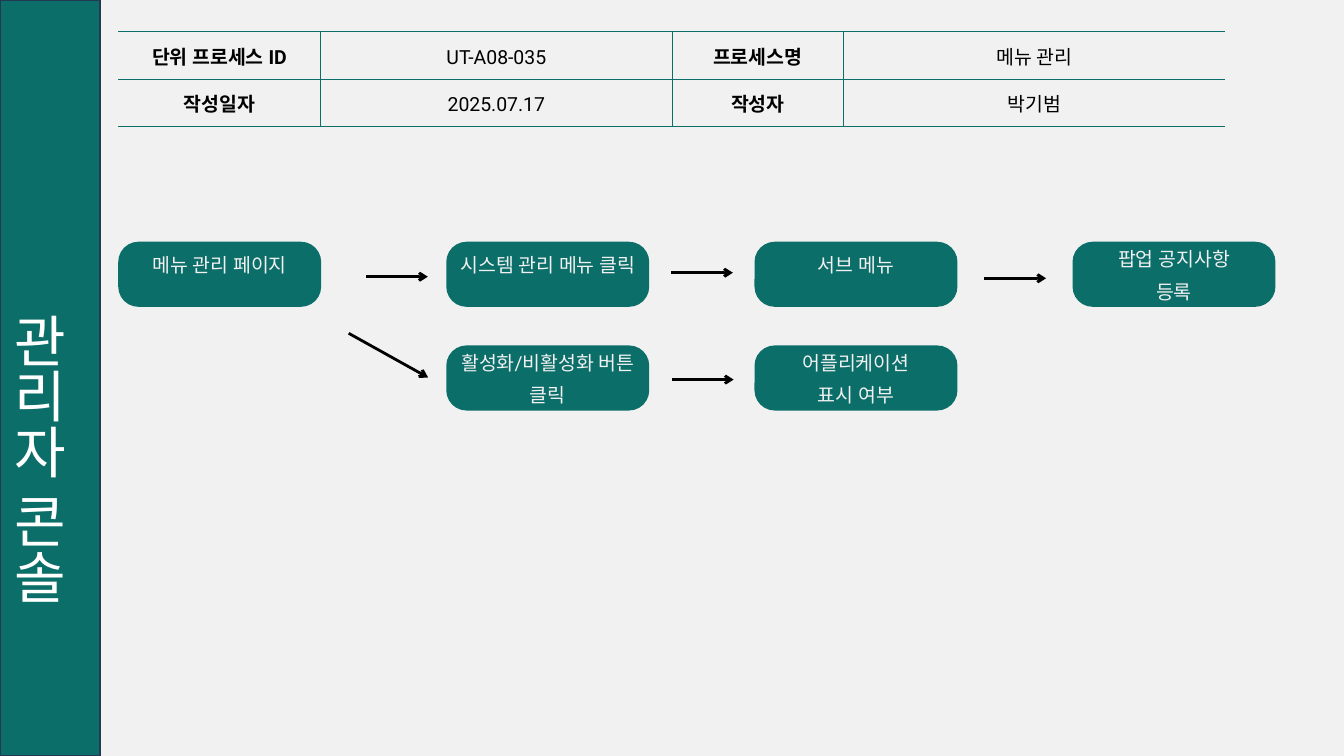
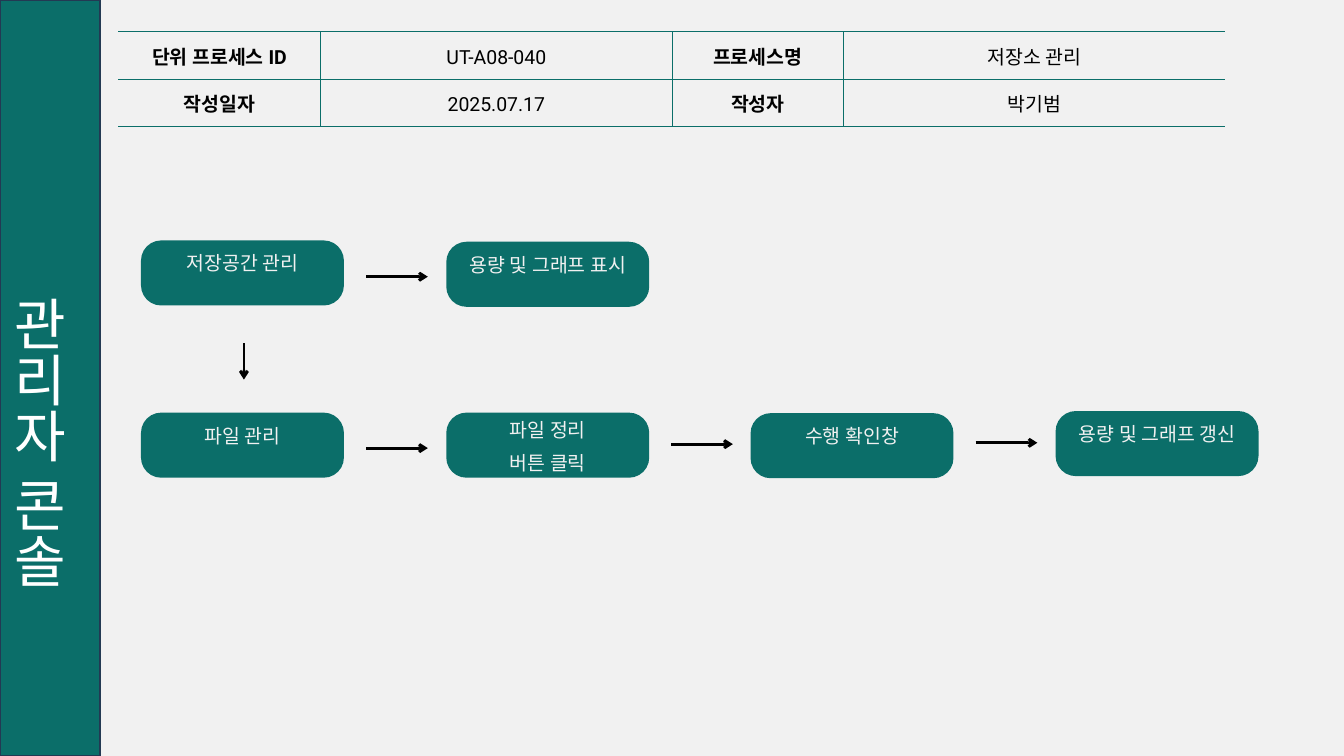
from lxml.etree import SubElement
from pptx import Presentation
from pptx.dml.color import RGBColor
from pptx.enum.shapes import MSO_CONNECTOR as Link, MSO_SHAPE as Form
from pptx.enum.text import MSO_ANCHOR as Anchor, PP_ALIGN as Align
from pptx.oxml.ns import qn
from pptx.util import Cm, Pt

TEAL = RGBColor(0x0B, 0x6E, 0x69)
NAVY = RGBColor(0x23, 0x39, 0x53)
PALE = RGBColor(0xF1, 0xF1, 0xF1)
WHITE = RGBColor(0xFF, 0xFF, 0xFF)
BLACK = RGBColor(0, 0, 0)

COLS = (7.65, 13.28, 6.48, 14.43)
ROW = 1.8
BOX_W, BOX_H = 7.67, 2.46
TEXT_H = 3.56  # the label ends at the foot of its box
REACH = 2.33   # length of a level arrow

# boxes: left, top, lines; arrows: left, top, run, drop
PAGES = [
    {
        "id": "UT-A08-035", "name": "메뉴 관리", "inset": 2.85,
        "boxes": [
            (4.47, 9.14, ["메뉴 관리 페이지"]),
            (16.87, 9.14, ["시스템 관리 메뉴 클릭"]),
            (28.52, 9.14, ["서브 메뉴"]),
            (40.54, 9.14, ["팝업 공지사항", "등록"]),
            (16.87, 13.06, ["활성화/비활성화 버튼", "클릭"]),
            (28.52, 13.06, ["어플리케이션", "표시 여부"]),
        ],
        "arrows": [
            (13.84, 10.46, REACH, 0),
            (25.37, 10.31, REACH, 0),
            (37.21, 10.52, REACH, 0),
            (13.18, 12.6, 3, 1.67),
            (25.4, 14.35, REACH, 0),
        ],
    },
    {
        "id": "UT-A08-040", "name": "저장소 관리", "inset": 2.24,
        "boxes": [
            (5.33, 9.09, ["저장공간 관리"]),
            (16.87, 9.14, ["용량 및 그래프 표시"]),
            (5.33, 15.6, ["파일 관리"]),
            (16.87, 15.6, ["파일 정리", "버튼 클릭"]),
            (28.37, 15.62, ["수행 확인창"]),
            (39.9, 15.54, ["용량 및 그래프 갱신"]),
        ],
        "arrows": [
            (13.84, 10.46, REACH, 0),
            (9.22, 12.98, 0, 1.37),
            (13.84, 16.94, REACH, 0),
            (25.37, 16.79, REACH, 0),
            (36.88, 16.74, REACH, 0),
        ],
    },
]


def write(frame, lines, color, pitch=None, size=20.8, face="Roboto",
          bold=False, align=Align.CENTER):
    """Fill a text frame, one paragraph per line, pitch points apart."""
    frame.word_wrap = True
    for i, line in enumerate(lines):
        para = frame.paragraphs[0] if i == 0 else frame.add_paragraph()
        para.alignment = align
        if pitch:
            para.line_spacing = Pt(pitch)
        run = para.add_run()
        run.text = line
        font = run.font
        font.name, font.size, font.bold = face, Pt(size), bold
        font.color.rgb = color
        SubElement(run._r.get_or_add_rPr(), qn("a:ea"), typeface=face)


def edge(cell, side, shown):
    """Draw or clear one border of a table cell."""
    line = SubElement(cell._tc.get_or_add_tcPr(), qn("a:ln" + side),
                      w=str(Pt(0.75) if shown else 0))
    if shown:
        fill = SubElement(line, qn("a:solidFill"))
        SubElement(fill, qn("a:srgbClr"), val=str(TEAL))
    else:
        SubElement(line, qn("a:noFill"))


deck = Presentation()
deck.slide_width, deck.slide_height = Cm(50.8), Cm(28.58)

for page in PAGES:
    slide = deck.slides.add_slide(deck.slide_layouts[6])
    slide.background.fill.solid()
    slide.background.fill.fore_color.rgb = PALE
    shapes = slide.shapes

    # Header table
    rows = [("단위 프로세스 ID", page["id"], "프로세스명", page["name"]),
            ("작성일자", "2025.07.17", "작성자", "박기범")]
    table = shapes.add_table(len(rows), len(COLS), Cm(4.47), Cm(1.19),
                             Cm(sum(COLS)), Cm(ROW * len(rows))).table
    table.first_row = table.horz_banding = False
    for c, width in enumerate(COLS):
        table.columns[c].width = Cm(width)
    for r, row in enumerate(rows):
        table.rows[r].height = Cm(ROW)
        for c, text in enumerate(row):
            cell = table.cell(r, c)
            cell.margin_left = cell.margin_right = Cm(0.03)
            cell.margin_top = cell.margin_bottom = Cm(0.03)
            cell.vertical_anchor = Anchor.MIDDLE
            edge(cell, "L", c > 0)
            edge(cell, "R", c < len(COLS) - 1)
            edge(cell, "T", True)
            edge(cell, "B", True)
            cell.fill.background()
            write(cell.text_frame, [text], BLACK, 29.2, bold=c % 2 == 0)

    # Process steps
    for left, top, lines in page["boxes"]:
        step = shapes.add_group_shape().shapes
        box = step.add_shape(Form.ROUNDED_RECTANGLE, Cm(left), Cm(top),
                             Cm(BOX_W), Cm(BOX_H))
        box.adjustments[0] = 0.31
        box.shadow.inherit = False
        box.fill.solid()
        box.fill.fore_color.rgb = TEAL
        box.line.fill.background()
        label = step.add_textbox(Cm(left), Cm(top + BOX_H - TEXT_H),
                                 Cm(BOX_W), Cm(TEXT_H)).text_frame
        label.margin_left = label.margin_right = Cm(0.14)
        label.margin_top = label.margin_bottom = Cm(0.14)
        label.vertical_anchor = Anchor.BOTTOM if len(lines) > 1 else Anchor.MIDDLE
        write(label, lines, PALE, 35.2)

    # Arrows between steps
    for left, top, run, drop in page["arrows"]:
        arrow = shapes.add_connector(Link.STRAIGHT, Cm(left), Cm(top),
                                     Cm(left + run), Cm(top + drop))
        arrow.line.color.rgb = BLACK
        arrow.line.width = Pt(3)
        SubElement(arrow.line._get_or_add_ln(), qn("a:tailEnd"), type="arrow")
        SubElement(arrow._element.spPr, qn("a:effectLst"))

    # Side band with the upright title
    band = shapes.add_shape(Form.RECTANGLE, 0, 0, Cm(3.78), deck.slide_height)
    band.shadow.inherit = False
    band.fill.solid()
    band.fill.fore_color.rgb = TEAL
    band.line.color.rgb = NAVY
    band.line.width = Pt(2)
    title = band.text_frame
    title.vertical_anchor = Anchor.BOTTOM
    title.margin_top = Cm(page["inset"])
    title._txBody.bodyPr.set("vert", "eaVert")
    write(title, ["관리자 콘솔"], WHITE, size=60, face="Calibri",
          align=Align.JUSTIFY)

deck.save("out.pptx")
